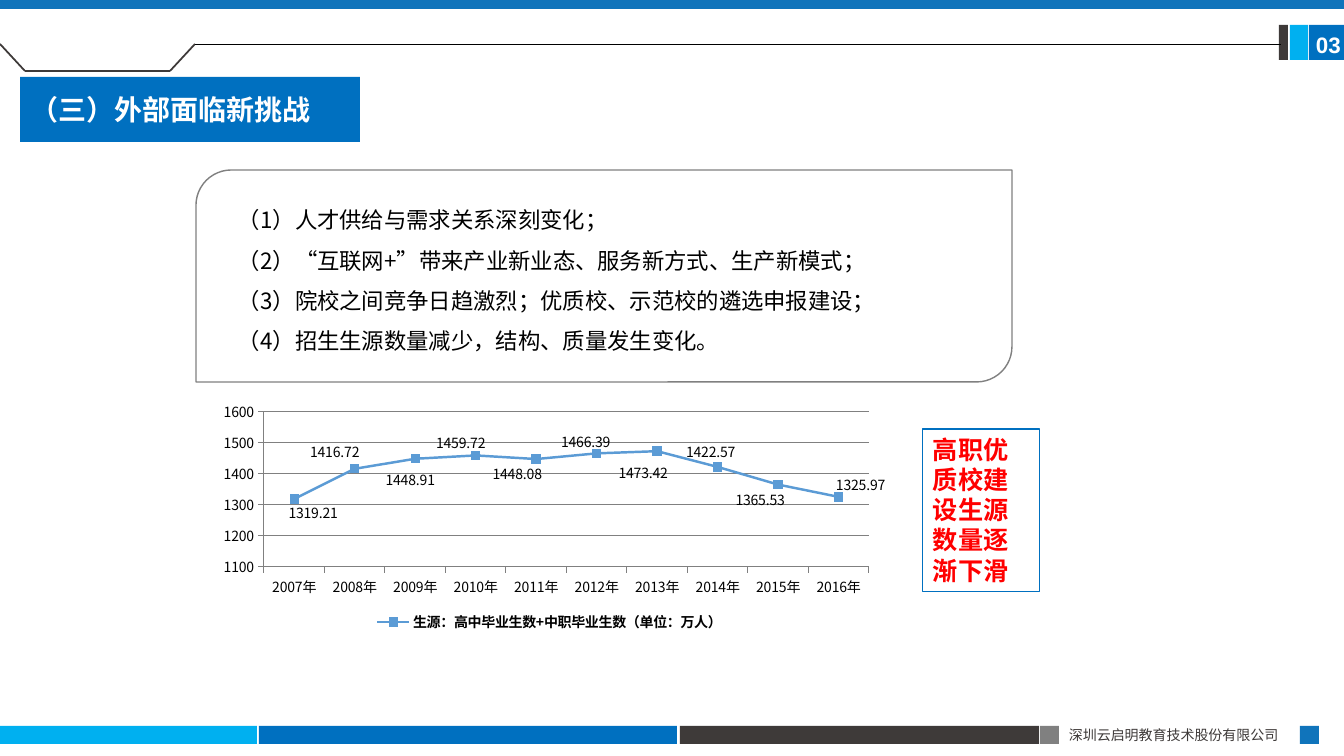
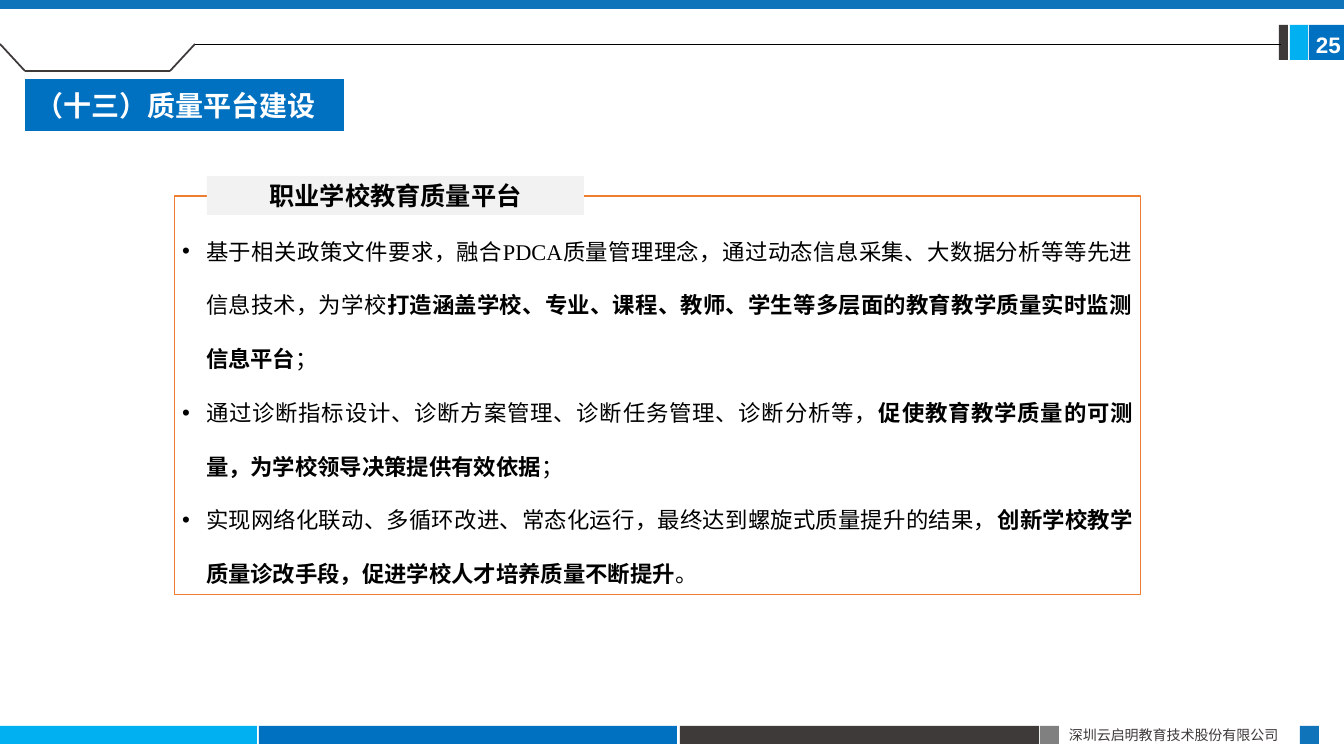
from lxml import etree
from pptx import Presentation
from pptx import util as u
from pptx.chart.data import CategoryChartData
from pptx.dml.color import RGBColor
from pptx.enum import chart as ch, shapes as sh, text as tx
from pptx.oxml import parse_xml
from pptx.oxml.ns import nsdecls, qn

SCALE = 12192000 / 1344
WIDE, HIGH = 1344, 756
HUE = {
    "blue": "0070C0", "deep": "1074BB", "sky": "00B0F0", "dark": "3E3A39",
    "grey": "808080", "pale": "F2F2F2", "orange": "ED7D31", "line": "5B9BD5",
    "red": "FF0000", "white": "FFFFFF", "black": "000000",
}
SANS = "Noto Sans CJK SC"
FIRM = "深圳云启明教育技术股份有限公司"

BLOCKS = [
    ((0, 726, 257, 18), "sky"), ((259, 726, 418, 18), "blue"),
    ((680, 726, 359, 18), "dark"), ((1040, 726, 19, 18), "grey"),
    ((1300, 726, 19, 18), "deep"), ((0, 0, WIDE, 9), "deep"),
    ((1309, 25, 35, 35), "blue"), ((1290, 25, 18, 35), "sky"),
    ((1279, 25, 9, 35), "dark"),
]
RULE = [(0, 44), (25, 71), (170, 71), (195, 44), (1281, 44)]

POINTS = [
    "（1）人才供给与需求关系深刻变化；",
    "（2）“互联网+”带来产业新业态、服务新方式、生产新模式；",
    "（3）院校之间竞争日趋激烈；优质校、示范校的遴选申报建设；",
    "（4）招生生源数量减少，结构、质量发生变化。",
]
SERIES = "生源：高中毕业生数+中职毕业生数（单位：万人）"
COUNTS = [1319.21, 1416.72, 1448.91, 1459.72, 1448.08,
          1466.39, 1473.42, 1422.57, 1365.53, 1325.97]
# Label of each point: side of the line, then shift right and down in px
SHIFTS = [("b", 19, -4), ("t", -20, 1), ("b", -5, 3), ("t", -15, 5),
          ("b", -19, -4), ("t", -11, 7), ("b", -14, 3), ("t", -7, 3),
          ("b", -18, -3), ("t", 22, 6)]
GOALS = [
    ("基于相关政策文件要求，融合PDCA质量管理理念，通过动态信息采集、大数据分析等等先进信息技术，为学校",
     "打造涵盖学校、专业、课程、教师、学生等多层面的教育教学质量实时监测信息平台", "；"),
    ("通过诊断指标设计、诊断方案管理、诊断任务管理、诊断分析等，",
     "促使教育教学质量的可测量，为学校领导决策提供有效依据", "；"),
    ("实现网络化联动、多循环改进、常态化运行，最终达到螺旋式质量提升的结果，",
     "创新学校教学质量诊改手段，促进学校人才培养质量不断提升", "。"),
]


def px(n):
    return u.Emu(round(n * SCALE))


def rgb(hue):
    return RGBColor.from_string(HUE[hue])


def place(shape, box):
    shape.left, shape.top, shape.width, shape.height = map(px, box)


def paint(shape, fill=None, line=None, width=1):
    if fill:
        shape.fill.solid()
        shape.fill.fore_color.rgb = rgb(fill)
    else:
        shape.fill.background()
    if line:
        shape.line.color.rgb = rgb(line)
        shape.line.width = u.Pt(width)
    else:
        shape.line.fill.background()


def block(slide, box, fill=None, line=None, kind=sh.MSO_SHAPE.RECTANGLE):
    shape = slide.shapes.add_shape(kind, *map(px, box))
    shape.shadow.inherit = False
    paint(shape, fill, line)


def write(para, text, size, hue="black", bold=False, font=SANS):
    run = para.add_run()
    run.text = text
    run.font.size = u.Pt(size)
    run.font.bold = bold
    run.font.name = font
    run.font.color.rgb = rgb(hue)
    east = etree.SubElement(run.font._element, qn("a:ea"))
    east.set("typeface", SANS)


def setup(shape, pads=(10, 5, 10, 5), anchor=tx.MSO_ANCHOR.TOP):
    """Set wrap, insets and anchor; return the text frame."""
    frame = shape.text_frame
    frame.word_wrap = True
    frame.auto_size = tx.MSO_AUTO_SIZE.NONE
    frame.vertical_anchor = anchor
    (frame.margin_left, frame.margin_top,
     frame.margin_right, frame.margin_bottom) = map(px, pads)
    return frame


def label(slide, box, text, size, pads=(10, 5, 10, 5), **style):
    shape = slide.shapes.add_textbox(*map(px, box))
    write(setup(shape, pads).paragraphs[0], text, size, **style)
    return shape


def items(frame, rows, space, bullet=None):
    """Write each row, a list of runs that alternate plain and bold."""
    for i, row in enumerate(rows):
        para = frame.paragraphs[0] if i == 0 else frame.add_paragraph()
        props = para._p.get_or_add_pPr()
        dent = px(24) if bullet else 0
        props.set("marL", str(dent))
        props.set("indent", str(-dent))
        props.set("hangingPunct", "0")
        if bullet:
            font = etree.SubElement(props, qn("a:buFont"))
            font.set("typeface", "Arial")
            etree.SubElement(props, qn("a:buChar")).set("char", bullet)
            para.alignment = tx.PP_ALIGN.JUSTIFY
        else:
            etree.SubElement(props, qn("a:buNone"))
        para.line_spacing = space
        para.space_before = u.Pt(0)
        for k, part in enumerate(row):
            write(para, part, 16, bold=k % 2 == 1,
                  font="Times New Roman" if bullet else SANS)


def base(deck, page, title, box):
    """Add a slide with the shared bands, rule, footer and title."""
    slide = deck.slides.add_slide(deck.slide_layouts[1])
    for spot, hue in BLOCKS:
        block(slide, spot, hue)
    for start, end in zip(RULE, RULE[1:]):
        last = end == RULE[-1]
        line = slide.shapes.add_connector(
            sh.MSO_CONNECTOR.STRAIGHT, *map(px, start + end))
        line.line.color.rgb = rgb("black" if last else "dark")
        line.line.width = u.Pt(0.5 if last else 1.25)
        etree.SubElement(line._element.spPr, qn("a:effectLst"))
    label(slide, (1059, 722, 242, 27), FIRM, 10, hue="dark")
    label(slide, (1306, 26, 38, 37), page, 16, pads=(10, 5, 0, 5),
          hue="white", bold=True, font="Arial")
    head = slide.shapes.title
    place(head, box)
    paint(head, "blue")
    para = setup(head, anchor=tx.MSO_ANCHOR.MIDDLE).paragraphs[0]
    para.alignment = tx.PP_ALIGN.LEFT
    write(para, title, 20, "white", True, "Calibri")
    return slide


def layout(x, y, w=None, h=None):
    """Make a manual chart layout; with no size it is a shift."""
    tags = ""
    if w:
        tags = ('<c:layoutTarget val="inner"/><c:xMode val="edge"/>'
                '<c:yMode val="edge"/>')
    tags += f'<c:x val="{x:.4f}"/><c:y val="{y:.4f}"/>'
    if w:
        tags += f'<c:w val="{w:.4f}"/><c:h val="{h:.4f}"/>'
    return parse_xml(f'<c:layout {nsdecls("c")}><c:manualLayout>{tags}'
                     '</c:manualLayout></c:layout>')


def trend(slide, box):
    data = CategoryChartData()
    data.categories = [f"{year}年" for year in range(2007, 2017)]
    data.add_series(SERIES, COUNTS)
    chart = slide.shapes.add_chart(
        ch.XL_CHART_TYPE.LINE_MARKERS, *map(px, box), data).chart
    wide, high = box[2:]
    chart.has_title = False
    chart.font.size = u.Pt(10)
    chart.font.name = SANS
    chart.font.color.rgb = rgb("black")
    chart.has_legend = True
    chart.legend.position = ch.XL_LEGEND_POSITION.BOTTOM
    chart.legend.include_in_layout = False
    chart.legend.font.bold = True
    chart.legend.font.size = u.Pt(10)
    chart.legend.font.name = SANS

    area = chart._chartSpace.chart.plotArea
    for old in area.findall(qn("c:layout")):
        area.remove(old)
    area.insert(0, layout(52 / wide, 15 / high, 605 / wide, 155 / high))

    axis = chart.value_axis
    axis.minimum_scale, axis.maximum_scale = 1100, 1600
    axis.major_unit = 100
    axis.has_major_gridlines = True
    lines = [axis.major_gridlines.format.line]
    for side in (axis, chart.category_axis):
        side.major_tick_mark = ch.XL_TICK_MARK.OUTSIDE
        lines.append(side.format.line)
    for line in lines:
        line.color.rgb = rgb("grey")
        line.width = u.Pt(0.75)

    plot = chart.plots[0]
    plot.vary_by_categories = False
    row = plot.series[0]
    row.smooth = False
    row.format.line.color.rgb = rgb("line")
    row.format.line.width = u.Pt(1.75)
    row.marker.style = ch.XL_MARKER_STYLE.SQUARE
    row.marker.size = 6
    row.marker.format.fill.solid()
    row.marker.format.fill.fore_color.rgb = rgb("line")
    row.marker.format.line.color.rgb = rgb("line")
    row.data_labels.show_value = True
    sides = {"t": ch.XL_LABEL_POSITION.ABOVE, "b": ch.XL_LABEL_POSITION.BELOW}
    for i, (side, right, down) in enumerate(SHIFTS):
        row.points[i].data_label.position = sides[side]
    for tag, (side, right, down) in zip(
            row._element.iter(qn("c:dLbl")), SHIFTS):
        tag.insert(1, layout(right / wide, down / high))


def panel(slide, box):
    """Place the list inside its outline with two round corners."""
    x, y, w, h = box
    block(slide, box, line="grey", kind=sh.MSO_SHAPE.ROUND_2_DIAG_RECTANGLE)
    body = slide.placeholders[1]
    place(body, (x + 32, y + 18, w - 22, h - 38))
    items(setup(body), [[point] for point in POINTS], 1.5)


def goals(slide, box):
    """Place the bullet box with its heading tab on the top edge."""
    x, y, w, h = box
    body = slide.placeholders[1]
    place(body, box)
    paint(body, line="orange", width=0.75)
    items(setup(body, (8, 15, 8, 4)), GOALS, 2.0, "•")
    tab = label(slide, (x + 33, y - 20, 377, 39), "职业学校教育质量平台", 18,
                pads=(8, 4, 8, 4), bold=True)
    paint(tab, "pale")
    tab.text_frame.vertical_anchor = tx.MSO_ANCHOR.MIDDLE
    tab.text_frame.paragraphs[0].alignment = tx.PP_ALIGN.CENTER


def main():
    deck = Presentation()
    deck.slide_width, deck.slide_height = px(WIDE), px(HIGH)

    slide = base(deck, "03", "（三）外部面临新挑战", (20, 77, 340, 65))
    panel(slide, (196, 170, 816, 212))
    trend(slide, (212, 397, 675, 239))
    note = label(slide, (923, 429, 117, 163), "高职优质校建设生源数量逐渐下滑",
                 18, hue="red", bold=True)
    paint(note, line="blue", width=0.75)

    slide = base(deck, "25", "（十三）质量平台建设", (25, 79, 319, 52))
    goals(slide, (174, 196, 967, 399))
    deck.save("out.pptx")


if __name__ == "__main__":
    main()
